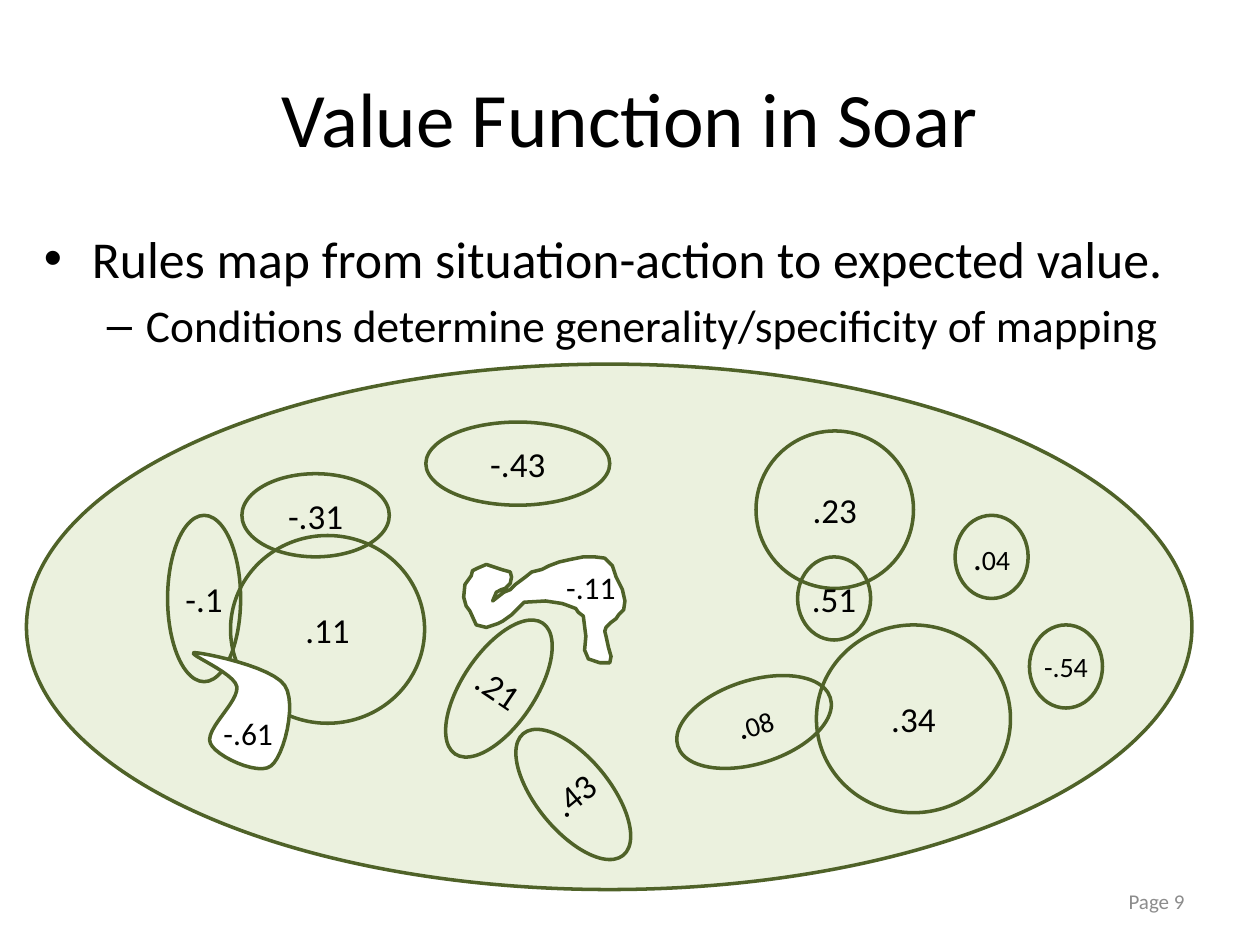
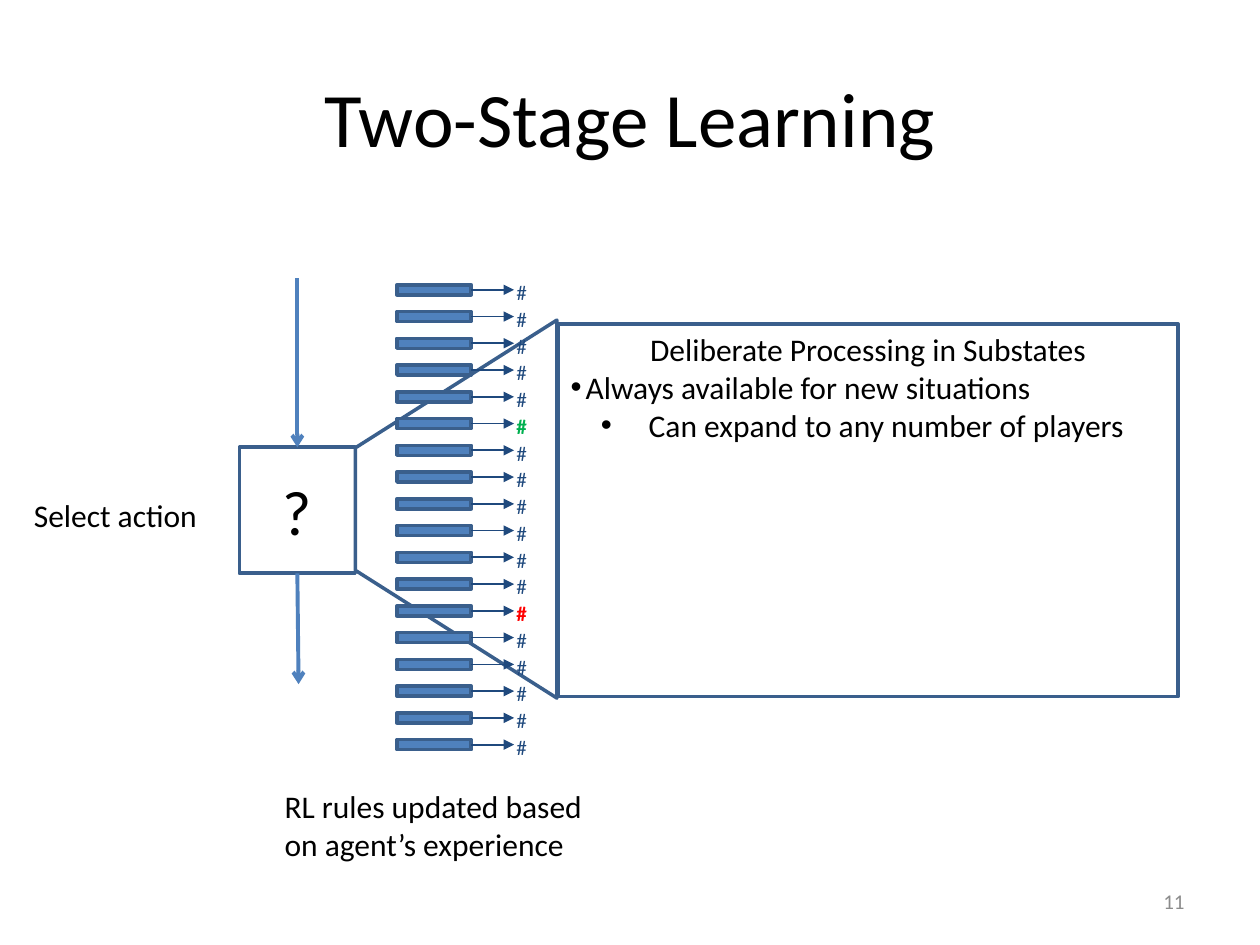
from lxml import etree
from pptx import Presentation
from pptx.dml.color import RGBColor
from pptx.enum.shapes import MSO_CONNECTOR, MSO_SHAPE
from pptx.enum.text import MSO_ANCHOR, PP_ALIGN
from pptx.oxml.ns import qn
from pptx.util import Inches, Pt

# Shared look
FONT = "Calibri"
BLACK, WHITE, GREY = "000000", "FFFFFF", "8C8C8C"
OLIVE, PALE = "4F6228", "EBF1DE"
BLUE, EDGE, NAVY = "4F81BD", "3A5F8C", "1F497D"
RED, GREEN = "FF0000", "00B050"
LEFT, MID, RIGHT = PP_ALIGN.LEFT, PP_ALIGN.CENTER, PP_ALIGN.RIGHT

# Value slide: text, size, bullet, margin, indent
POINTS = [
    ("Rules map from situation-action to expected value.", 29.6, "•", 0.38, -0.38),
    ("Conditions determine generality/specificity of mapping", 25.9, "–", 0.81, -0.31),
]
SPACE = (0.21, 2.89, 9.25, 4.17)

# Regions: place, turn, runs of (text, size)
REGIONS = [
    ((6, 3.42, 1.25, 1.25), 0, [(".23", 20)]),
    ((7.58, 4.09, 0.58, 0.66), 0, [(".", 20), ("04", 16)]),
    ((6.33, 4.42, 0.58, 0.66), 0, [(".51", 20)]),
    ((1.92, 3.76, 1.17, 0.66), 0, [("-.31", 20)]),
    ((1.33, 4.09, 0.58, 1.32), 0, [("-.1", 20)]),
    ((1.83, 4.25, 1.54, 1.49), 0, [(".11", 20)]),
    ((3.38, 3.35, 1.46, 0.66), 0, [("-.43", 20)]),
    ((3.67, 4.84, 0.58, 1.25), 33.8, [(".21", 20)]),
    ((5.35, 5.4, 1.27, 0.66), 342.4, [(".", 20), ("08", 16)]),
    ((6.48, 4.96, 1.54, 1.49), 0, [(".34", 20)]),
    ((8.17, 4.96, 0.58, 0.66), 0, [("-.54", 16)]),
    ((4.26, 5.68, 0.58, 1.25), 320.6, [(".43", 20)]),
]

# Flask outline: start, then cubic curves (two handles and an end)
FLASK = [
    (1.88, 5.45),
    (1.9, 5.57), (1.62, 5.79), (1.67, 5.9),
    (1.71, 6), (2.05, 6.16), (2.15, 6.08),
    (2.25, 6.01), (2.36, 5.59), (2.26, 5.44),
    (2.16, 5.29), (1.61, 5.18), (1.54, 5.18),
    (1.48, 5.19), (1.86, 5.34), (1.88, 5.45),
]
# Hook outline: corner points
HOOK = [
    (3.91, 4.77), (4, 4.7), (4.05, 4.68), (4.09, 4.64), (4.17, 4.58),
    (4.22, 4.54), (4.3, 4.52), (4.36, 4.49), (4.44, 4.46), (4.53, 4.44),
    (4.63, 4.42), (4.72, 4.42), (4.8, 4.43), (4.86, 4.49), (4.89, 4.58),
    (4.94, 4.68), (4.96, 4.77), (4.95, 4.84), (4.91, 4.88), (4.89, 4.91),
    (4.85, 4.94), (4.81, 4.98), (4.8, 5.01), (4.81, 5.05), (4.83, 5.14),
    (4.85, 5.21), (4.84, 5.26), (4.76, 5.26), (4.67, 5.23), (4.64, 5.16),
    (4.65, 5.05), (4.63, 4.89), (4.59, 4.86), (4.57, 4.83), (4.49, 4.8),
    (4.46, 4.79), (4.33, 4.77), (4.16, 4.78), (4.1, 4.84), (4.06, 4.88),
    (3.99, 4.93), (3.95, 4.95), (3.86, 4.98), (3.78, 4.96), (3.73, 4.85),
    (3.7, 4.81), (3.68, 4.74), (3.69, 4.64), (3.74, 4.57), (3.75, 4.53),
    (3.79, 4.51), (3.86, 4.48), (3.98, 4.52), (4.05, 4.54), (4.06, 4.58),
    (4.05, 4.63), (4.01, 4.67), (3.98, 4.68), (3.94, 4.7),
]
TAGS = [("-.61", (1.67, 5.62, 0.6, 0.4)), ("-.11", (4.39, 4.46, 0.6, 0.4))]

# Learning slide
RULES, FIRST, LAST = 18, 2.26, 5.87
UPDATED = {5: GREEN, 12: RED}
FLOW = [((2.36, 2.21), (2.36, 3.55)), ((2.36, 4.55), (2.37, 5.43))]
NOTES = [
    ("Deliberate Processing in Substates", MID, None, 0, 0),
    ("Always available for new situations", LEFT, "•", 0.12, -0.38),
    ("Can expand to any number of players", LEFT, "•", 0.62, -0.38),
]


def hue(code):
    return RGBColor.from_string(code)


def style(para, size, color=BLACK, align=LEFT):
    para.alignment = align
    font = para.font
    font.name, font.size = FONT, Pt(size)
    font.color.rgb = hue(color)


def bullet(para, mark, margin, indent):
    props = para._p.get_or_add_pPr()
    props.set("marL", str(Inches(margin)))
    props.set("indent", str(Inches(indent)))
    etree.SubElement(props, qn("a:buFont")).set("typeface", "Arial")
    etree.SubElement(props, qn("a:buChar")).set("char", mark)


def lines(frame, count):
    return [frame.paragraphs[0]] + [frame.add_paragraph() for _ in range(count - 1)]


def paint(shape, fill, edge):
    shape.shadow.inherit = False
    if fill:
        shape.fill.solid()
        shape.fill.fore_color.rgb = hue(fill)
    else:
        shape.fill.background()
    shape.line.color.rgb = hue(edge)
    shape.line.width = Pt(2)
    return shape


def block(slide, kind, place, fill, edge):
    return paint(slide.shapes.add_shape(kind, *map(Inches, place)), fill, edge)


def blob(slide, dots):
    dots = [(Inches(x), Inches(y)) for x, y in dots]
    pen = slide.shapes.build_freeform(*dots[0])
    pen.add_line_segments(dots[1:], close=True)
    return paint(pen.convert_to_shape(), WHITE, OLIVE)


def curve(dots, steps=12):
    out = [dots[0]]
    for i in range(0, len(dots) - 1, 3):
        xs, ys = zip(*dots[i:i + 4])
        for n in range(1, steps + 1):
            t = n / steps
            s = 1 - t
            mix = (s**3, 3 * s * s * t, 3 * s * t * t, t**3)
            out.append((sum(m * x for m, x in zip(mix, xs)),
                        sum(m * y for m, y in zip(mix, ys))))
    return out


def label(slide, place, text, size, color=BLACK, align=LEFT, wrap=True):
    box = slide.shapes.add_textbox(*map(Inches, place))
    frame = box.text_frame
    frame.word_wrap = wrap
    frame.text = text
    style(frame.paragraphs[0], size, color, align)
    return frame


def arrow(slide, start, end, color, width, head):
    ends = map(Inches, (*start, *end))
    link = slide.shapes.add_connector(MSO_CONNECTOR.STRAIGHT, *ends)
    link.line.color.rgb = hue(color)
    link.line.width = Pt(width)
    etree.SubElement(link.line._get_or_add_ln(), qn("a:tailEnd")).set("type", head)
    etree.SubElement(link._element.spPr, qn("a:effectLst"))


def page(deck, title, foot):
    slide = deck.slides.add_slide(deck.slide_layouts[5])
    head = slide.shapes.title
    head.left, head.top, head.width, head.height = map(Inches, (0.5, 0.3, 9, 1.25))
    head.text_frame.text = title
    head.text_frame.vertical_anchor = MSO_ANCHOR.MIDDLE
    style(head.text_frame.paragraphs[0], 44, align=MID)
    note = label(slide, (7.17, 6.95, 2.33, 0.4), foot, 12, GREY, RIGHT)
    note.vertical_anchor = MSO_ANCHOR.MIDDLE
    return slide


def rule(slide, row):
    top = FIRST + row * (LAST - FIRST) / (RULES - 1)
    mid = top + 0.04
    block(slide, MSO_SHAPE.RECTANGLE, (3.15, top, 0.59, 0.08), BLUE, EDGE)
    arrow(slide, (3.74, mid), (4.08, mid), NAVY, 1, "triangle")
    frame = label(slide, (4, top - 0.09, 0.25, 0.3), "#", 12, UPDATED.get(row, NAVY))
    frame.paragraphs[0].font.bold = row in UPDATED


def value(deck):
    slide = page(deck, "Value Function in Soar", "Page 9")

    # Bulleted text
    box = slide.shapes.add_textbox(*map(Inches, (0.25, 1.75, 9.58, 1.25)))
    frame = box.text_frame
    frame.word_wrap = True
    for i, para in enumerate(lines(frame, len(POINTS))):
        text, size, mark, margin, indent = POINTS[i]
        para.text = text
        if i:
            para.space_before = Pt(5)
        bullet(para, mark, margin, indent)
        style(para, size)

    # State space and its regions
    block(slide, MSO_SHAPE.OVAL, SPACE, PALE, OLIVE)
    for place, turn, runs in REGIONS:
        oval = block(slide, MSO_SHAPE.OVAL, place, None, OLIVE)
        oval.rotation = turn
        frame = oval.text_frame
        frame.margin_left = frame.margin_right = Inches(0.01)
        frame.margin_top = frame.margin_bottom = Inches(0.01)
        para = frame.paragraphs[0]
        style(para, runs[0][1], align=MID)
        for text, size in runs:
            run = para.add_run()
            run.text = text
            run.font.size = Pt(size)

    # Irregular regions
    for dots, (text, place) in zip((curve(FLASK), HOOK), TAGS):
        blob(slide, dots)
        label(slide, place, text, 18, align=MID, wrap=False)


def learn(deck):
    slide = page(deck, "Two-Stage Learning", "11")

    # Decision and its flow
    box = block(slide, MSO_SHAPE.RECTANGLE, (1.9, 3.55, 0.92, 1), WHITE, EDGE)
    box.text_frame.text = "?"
    style(box.text_frame.paragraphs[0], 36, align=MID)
    for start, end in FLOW:
        arrow(slide, start, end, BLUE, 2.25, "arrow")
    label(slide, (0.17, 3.89, 1.92, 0.4), "Select action", 18)

    # Zoom from the decision to the substates
    zoom = block(slide, MSO_SHAPE.TRAPEZOID, (2.12, 3.24, 3, 1.6), WHITE, EDGE)
    zoom.rotation = 270
    zoom.adjustments[0] = 0.634

    # Rules
    for row in range(RULES):
        rule(slide, row)

    # Substate panel
    panel = block(slide, MSO_SHAPE.RECTANGLE, (4.43, 2.57, 4.92, 2.96), WHITE, EDGE)
    frame = panel.text_frame
    frame.vertical_anchor = MSO_ANCHOR.TOP
    for para, note in zip(lines(frame, len(NOTES)), NOTES):
        text, align, mark, margin, indent = note
        para.text = text
        if mark:
            bullet(para, mark, margin, indent)
        style(para, 18, align=align)

    label(slide, (2.16, 6.2, 2.58, 0.71),
          "RL rules updated based on agent’s experience", 18)


def main():
    deck = Presentation()
    deck.slide_width, deck.slide_height = Inches(10), Inches(7.5)
    value(deck)
    learn(deck)
    deck.save("out.pptx")


if __name__ == "__main__":
    main()
